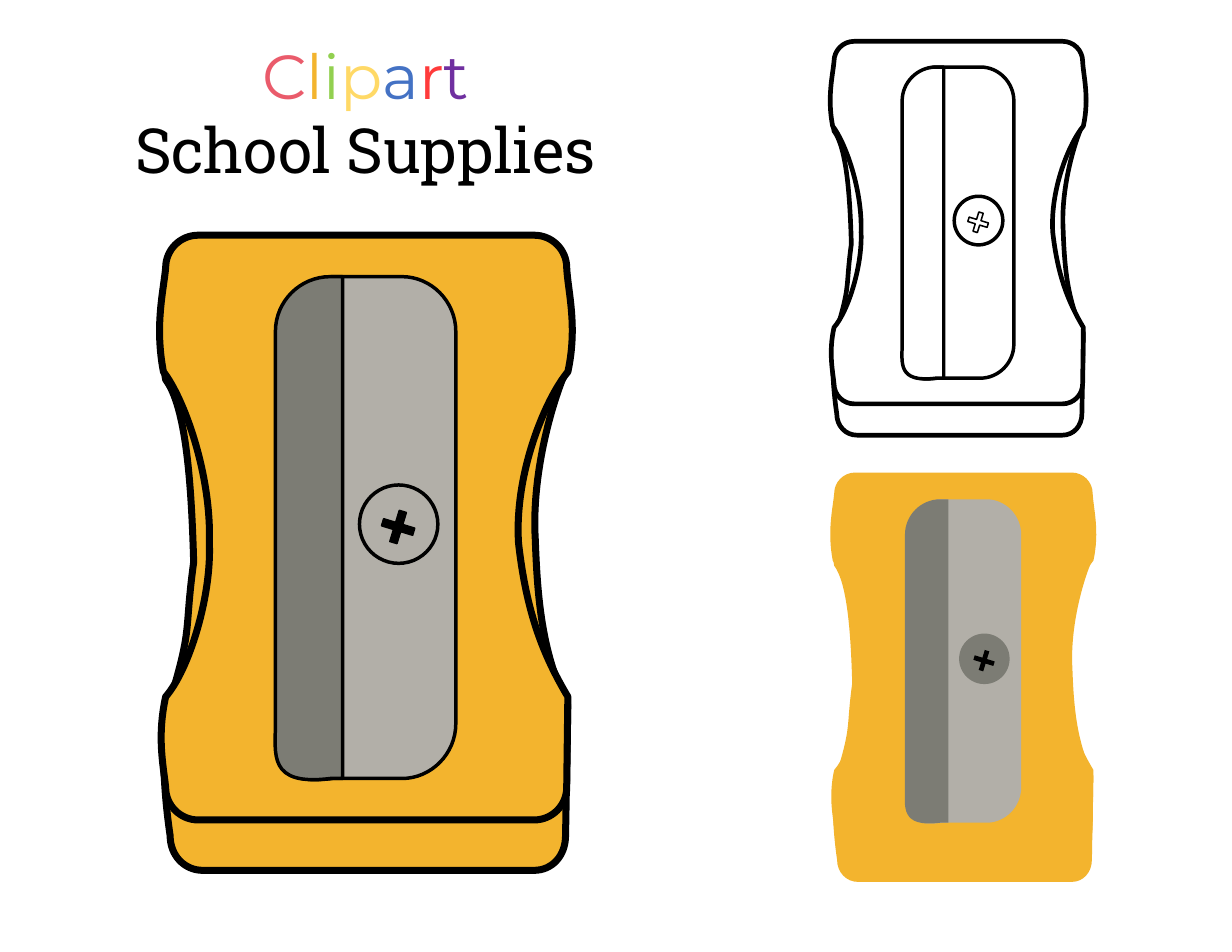
import lxml.etree
import pptx
import pptx.dml.color
import pptx.enum.shapes
import pptx.enum.text
import pptx.oxml.ns
import pptx.util

Pt = pptx.util.Pt
qn = pptx.oxml.ns.qn
SHAPE = pptx.enum.shapes.MSO_SHAPE

# Sharpener outlines on a grid 368 units wide: a start point, then
# lines (x, y) and cubic curves (x1, y1, x2, y2, x, y)
GRID_WIDTH = 368
BASE = [(10, 43), (10, 25, 23, 11, 39, 11), (335, 11), (351, 11, 363, 25, 363, 43),
        (365, 64, 373, 74, 365, 118), (356, 135, 332, 206, 336, 272),
        (338, 330, 343, 375, 365, 420), (363, 536), (363, 554, 351, 567, 335, 567),
        (39, 567), (23, 567, 10, 554, 10, 536), (7, 516, 0, 460, 8, 422),
        (31, 347, 22, 358, 31, 292), (29, 220, 24, 153, 6, 129), (-2, 86, 8, 64, 10, 43)]
BODY = [(6, 29), (6, 13, 19, 0, 35, 0), (335, 0), (351, 0, 364, 13, 364, 29),
        (365, 50, 374, 81, 365, 122), (345, 146, 317, 213, 321, 275),
        (328, 337, 343, 375, 365, 412), (364, 493), (364, 509, 351, 522, 335, 522),
        (35, 522), (19, 522, 6, 509, 6, 493), (4, 474, -2, 448, 6, 412),
        (27, 388, 47, 322, 45, 275), (47, 213, 22, 145, 4, 122), (-4, 81, 4, 50, 6, 29)]
PLATE = [(106, 86), (106, 59, 128, 37, 155, 37), (217, 37), (243, 37, 265, 59, 265, 86),
         (265, 436), (265, 463, 243, 485, 217, 485), (155, 485),
         (99, 492, 106, 463, 106, 436), (106, 86)]
BLADE = [(153, 37), (164, 37), (164, 485), (153, 485), (97, 492, 104, 463, 104, 436),
         (104, 86), (104, 59, 126, 37, 153, 37)]

YELLOW, LIGHT, DARK, BLACK, WHITE = "F3B42E", "B2AFA8", "7C7C74", "000000", "FFFFFF"


def rgb(color):
    return pptx.dml.color.RGBColor.from_string(color)


def style(sp, fill, line_width, line_color=BLACK):
    sp.shadow.inherit = False
    sp.fill.solid()
    sp.fill.fore_color.rgb = rgb(fill)
    if line_width:
        sp.line.color.rgb = rgb(line_color)
        sp.line.width = Pt(line_width)
    else:
        sp.line.fill.background()


def add_outline(shapes, left, top, unit, segments):
    """Build a freeform through the end points, then bend its curved segments."""
    def place(x, y):
        return Pt(left + x * unit), Pt(top + y * unit)

    ends = [place(*segment[-2:]) for segment in segments]
    builder = shapes.build_freeform(*ends[0], scale=1.0)
    builder.add_line_segments(ends[1:], close=True)
    sp = builder.convert_to_shape()
    min_x, min_y = min(x for x, y in ends), min(y for x, y in ends)
    for line, segment in zip(list(sp._element.iter(qn("a:lnTo"))), segments[1:]):
        if len(segment) == 6:
            curve = lxml.etree.Element(qn("a:cubicBezTo"))
            for i in (0, 2, 4):
                x, y = place(*segment[i:i + 2])
                lxml.etree.SubElement(curve, qn("a:pt"), x=str(x - min_x), y=str(y - min_y))
            line.getparent().replace(line, curve)
    return sp


def add_sharpener(slide, left, top, width, colors, edge, detail, cross_edge):
    shapes = slide.shapes.add_group_shape().shapes
    unit = width / GRID_WIDTH
    yellow, plate, screw, cross, blade = colors

    def outline(segments, fill, line_width):
        style(add_outline(shapes, left, top, unit, segments), fill, line_width)

    def preset(kind, x, y, size, fill, line_width):
        sp = shapes.add_shape(kind, Pt(left + x * unit), Pt(top + y * unit),
                              Pt(size * unit), Pt(size * unit))
        style(sp, fill, line_width)
        return sp

    # Plastic case
    outline(BASE, yellow, edge)
    outline(BODY, yellow, edge)
    # Metal plate with screw and blade
    outline(PLATE, plate, detail)
    preset(SHAPE.OVAL, 179, 223, 70, screw, detail)
    sp = preset(SHAPE.CROSS, 199, 246, 29, cross, cross_edge)
    sp.adjustments[0] = 0.386
    sp.rotation = 16.9
    outline(BLADE, blade, detail)


def add_title(slide, left, top, width, height):
    tf = slide.shapes.add_textbox(Pt(left), Pt(top), Pt(width), Pt(height)).text_frame
    tf.word_wrap = True
    # Rainbow word, set slightly left of centre
    p = tf.paragraphs[0]
    p.alignment = pptx.enum.text.PP_ALIGN.CENTER
    p._p.get_or_add_pPr().set("indent", str(-Pt(20)))
    colors = ["EA5B6B", YELLOW, "92D050", "FFD966", "4472C4", "FF3B3B", "7030A0"]
    for letter, color in zip("Clipart", colors):
        r = p.add_run()
        r.text = letter
        r.font.name, r.font.size = "Montserrat", Pt(40)
        r.font.color.rgb = rgb(color)
    # Subject
    p = tf.add_paragraph()
    p.text = "School Supplies"
    p.alignment = pptx.enum.text.PP_ALIGN.CENTER
    font = p.runs[0].font
    font.name, font.size = "Roboto Slab", Pt(40)
    font.color.rgb = rgb(BLACK)


def main():
    prs = pptx.Presentation()
    prs.slide_width, prs.slide_height = Pt(792), Pt(612)
    slide = prs.slides.add_slide(prs.slide_layouts[6])

    # White page
    page = slide.shapes.add_shape(SHAPE.RECTANGLE, 0, 0, prs.slide_width, prs.slide_height)
    style(page, WHITE, 1, WHITE)

    add_title(slide, 22.3, 20.2, 425.5, 104.4)

    # Coloured with outline, coloured only, outline only
    add_sharpener(slide, 102.2, 151.2, 265, (YELLOW, LIGHT, LIGHT, BLACK, DARK), 4.5, 2.25, 1)
    add_sharpener(slide, 533.5, 303.8, 170.8, (YELLOW, LIGHT, DARK, BLACK, DARK), 0, 0, 0)
    add_sharpener(slide, 533.5, 26.6, 164.3, (WHITE,) * 5, 3, 2.25, 1)

    prs.save("out.pptx")


if __name__ == "__main__":
    main()
